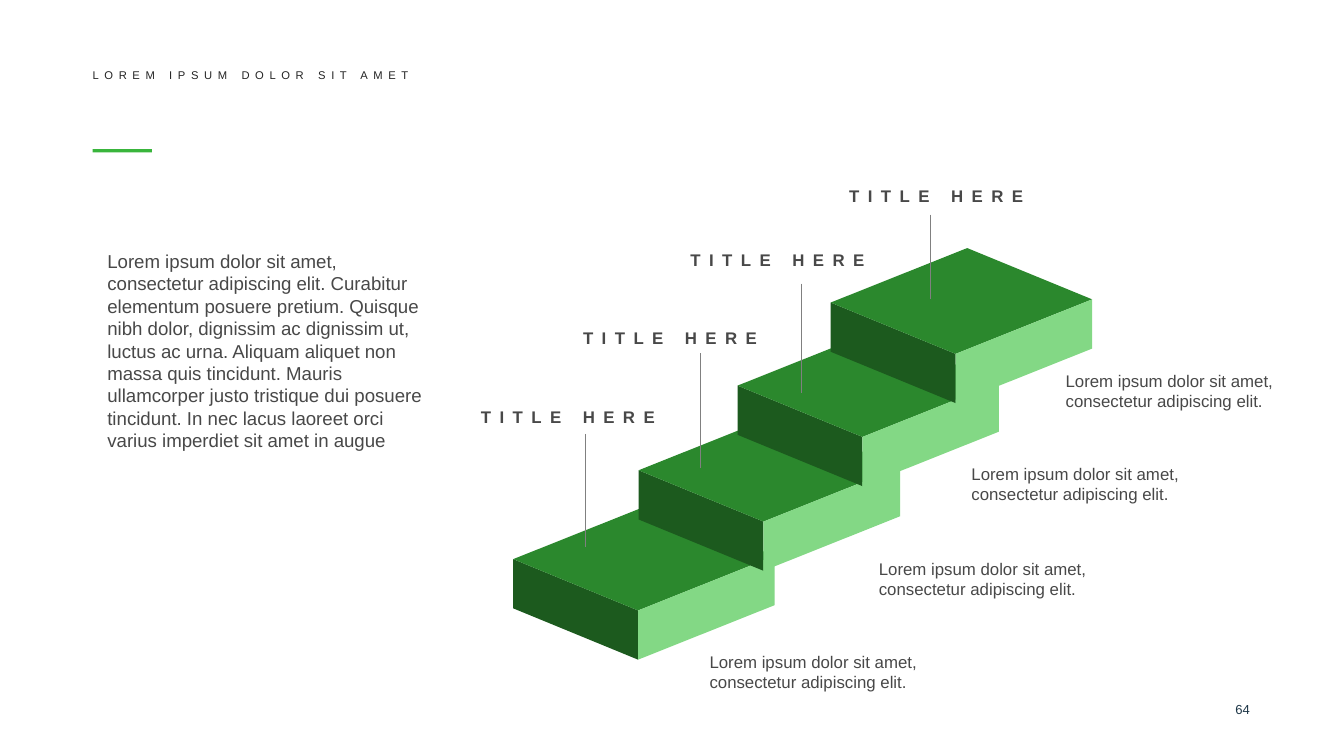
from dataclasses import dataclass

from lxml.etree import SubElement
from pptx import Presentation
from pptx.dml.color import RGBColor
from pptx.enum.shapes import MSO_CONNECTOR, MSO_SHAPE
from pptx.enum.text import MSO_ANCHOR, PP_ALIGN
from pptx.oxml.ns import qn
from pptx.util import Cm, Pt

ACCENT = RGBColor(0x39, 0xB5, 0x3C)
FRONT_GREEN = RGBColor(0x1C, 0x5A, 0x1E)
TOP_GREEN = RGBColor(0x2B, 0x88, 0x2D)
SIDE_GREEN = RGBColor(0x83, 0xD8, 0x85)
BODY_GRAY = RGBColor(0x48, 0x48, 0x48)
HEADING_GRAY = RGBColor(0x24, 0x24, 0x24)
POINTER_GRAY = RGBColor(0x80, 0x80, 0x80)
NUMBER_BLUE = RGBColor(0x1D, 0x36, 0x47)

FONT = "Arial"
FRONT_RUN, FRONT_DROP = 2.36, 0.97
SIDE_RUN, SIDE_RISE = 2.58, 1.03
STEP_HEIGHT = 0.93

HEADING = "LOREM IPSUM DOLOR SIT AMET"
STEP_TITLE = "TITLE HERE"
STEP_CAPTION = "Lorem ipsum dolor sit amet, consectetur adipiscing elit."
INTRO = (
    "Lorem ipsum dolor sit amet, consectetur adipiscing elit. Curabitur "
    "elementum posuere pretium. Quisque nibh dolor, dignissim ac dignissim ut, "
    "luctus ac urna. Aliquam aliquet non massa quis tincidunt. Mauris "
    "ullamcorper justo tristique dui posuere tincidunt. In nec lacus laoreet "
    "orci varius imperdiet sit amet in augue"
)


@dataclass
class Step:
    corner: tuple
    title: tuple
    caption: tuple
    pointer: tuple


STEPS = [
    Step((9.7, 10.57), (8.84, 7.57), (13.16, 12.19), (11.07, 8.2, 10.34)),
    Step((12.07, 8.89), (10.77, 6.07), (16.36, 10.44), (13.23, 6.68, 8.84)),
    Step((13.94, 7.29), (12.8, 4.6), (18.11, 8.64), (15.14, 5.36, 7.42)),
    Step((15.7, 5.72), (15.8, 3.38), (19.89, 6.88), (17.58, 4.06, 5.66)),
]


def write_text(frame, text, size, color, bold=False, spacing=0):
    paragraph = frame.paragraphs[0]
    run = paragraph.add_run()
    run.text = text
    if spacing:
        run._r.get_or_add_rPr().set("spc", str(int(spacing * 100)))
    paragraph.font.name = FONT
    paragraph.font.size = Pt(size)
    paragraph.font.bold = bold
    paragraph.font.color.rgb = color
    return paragraph


def set_margins(frame, horizontal, vertical):
    frame.margin_left = frame.margin_right = Cm(horizontal)
    frame.margin_top = frame.margin_bottom = Cm(vertical)


def add_text_frame(slide, left, top, width, height, wrap=True):
    box = slide.shapes.add_textbox(Cm(left), Cm(top), Cm(width), Cm(height))
    box.text_frame.word_wrap = wrap
    return box.text_frame


def paint(shape, color):
    shape.shadow.inherit = False
    shape.fill.solid()
    shape.fill.fore_color.rgb = color
    shape.line.fill.background()


def add_heading(slide):
    heading = slide.shapes.title
    heading.left, heading.top = Cm(1.75), Cm(1.3)
    heading.width, heading.height = Cm(18.21), Cm(0.25)
    frame = heading.text_frame
    frame.vertical_anchor = MSO_ANCHOR.MIDDLE
    set_margins(frame, 0, 0)
    paragraph = write_text(frame, HEADING, 6, HEADING_GRAY, spacing=3)
    paragraph.alignment = PP_ALIGN.LEFT


def add_accent(slide):
    accent = slide.shapes.add_shape(
        MSO_SHAPE.RECTANGLE, Cm(1.75), Cm(2.82), Cm(1.12), Cm(0.06)
    )
    paint(accent, ACCENT)


def add_page_number(slide):
    frame = add_text_frame(slide, 22.53, 13.26, 1.09, 0.41)
    set_margins(frame, 0, 0)
    write_text(frame, "64", 7, NUMBER_BLUE).alignment = PP_ALIGN.RIGHT


def add_intro(slide):
    frame = add_text_frame(slide, 1.85, 4.62, 6.43, 6.22)
    set_margins(frame, 0.18, 0.1)
    write_text(frame, INTRO, 10, BODY_GRAY)


def add_face(slide, points, color):
    start, *rest = [(Cm(x), Cm(y)) for x, y in points]
    builder = slide.shapes.build_freeform(*start)
    builder.add_line_segments(rest, close=True)
    paint(builder.convert_to_shape(), color)


def add_block(slide, corner):
    x, y = corner
    left = (x, y)
    near = (x + FRONT_RUN, y + FRONT_DROP)
    far = (x + SIDE_RUN, y - SIDE_RISE)
    right = (near[0] + SIDE_RUN, near[1] - SIDE_RISE)
    left_base, near_base, right_base = [
        (px, py + STEP_HEIGHT) for px, py in (left, near, right)
    ]
    add_face(slide, [near_base, left_base, left, near], FRONT_GREEN)
    add_face(slide, [near, left, far, right], TOP_GREEN)
    add_face(slide, [right, right_base, near_base, near], SIDE_GREEN)


def add_pointer(slide, x, top, bottom):
    pointer = slide.shapes.add_connector(
        MSO_CONNECTOR.STRAIGHT, Cm(x), Cm(top), Cm(x), Cm(bottom)
    )
    pointer.line.color.rgb = POINTER_GRAY
    pointer.line.width = Pt(0.5)
    SubElement(pointer._element.spPr, qn("a:effectLst"))


def add_step_labels(slide, step):
    caption = add_text_frame(slide, *step.caption, 4.8, 1.02)
    write_text(caption, STEP_CAPTION, 9, BODY_GRAY)
    add_pointer(slide, *step.pointer)
    title = add_text_frame(slide, *step.title, 4.09, 0.64, wrap=False)
    write_text(title, STEP_TITLE, 9, BODY_GRAY, bold=True, spacing=4.5)


def main():
    presentation = Presentation()
    presentation.slide_width = Cm(25.4)
    presentation.slide_height = Cm(14.29)
    slide = presentation.slides.add_slide(presentation.slide_layouts[5])
    add_heading(slide)
    add_accent(slide)
    add_page_number(slide)
    for step in STEPS:
        add_block(slide, step.corner)
    for step in STEPS:
        add_step_labels(slide, step)
    add_intro(slide)
    presentation.save("out.pptx")


if __name__ == "__main__":
    main()
